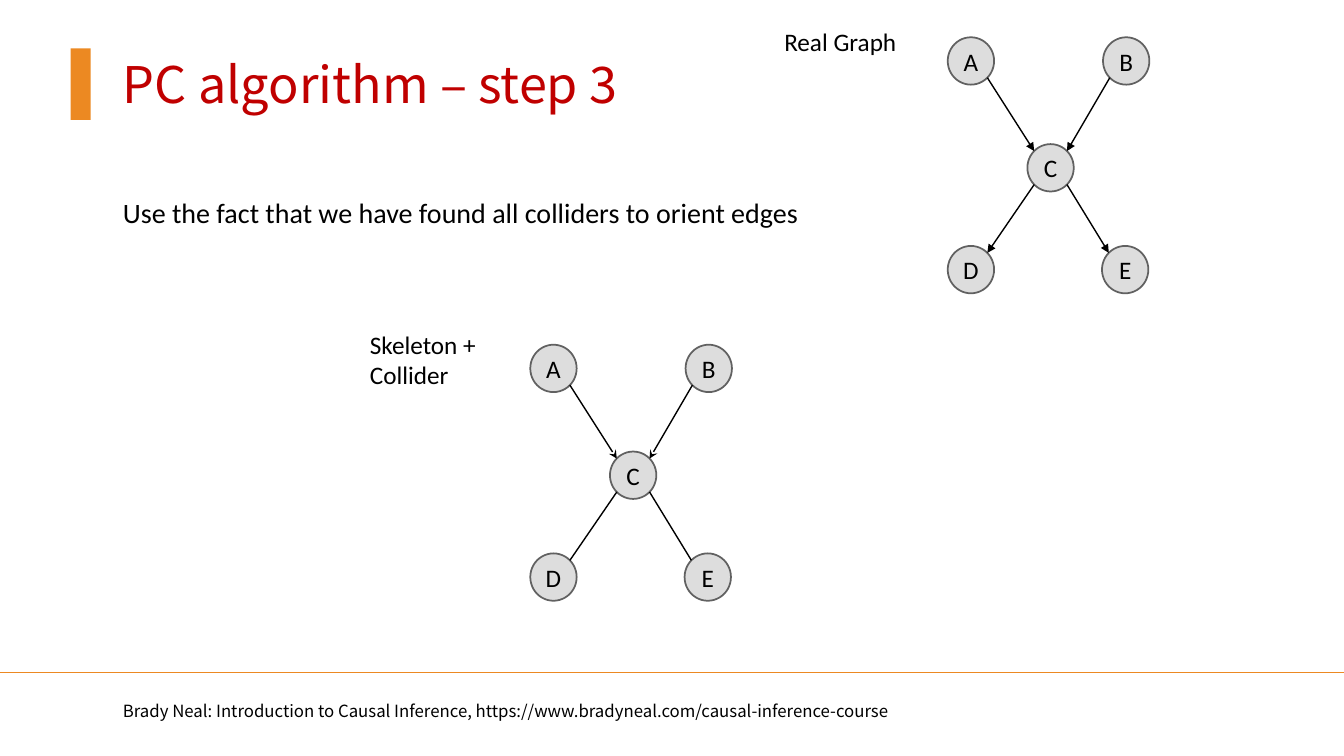
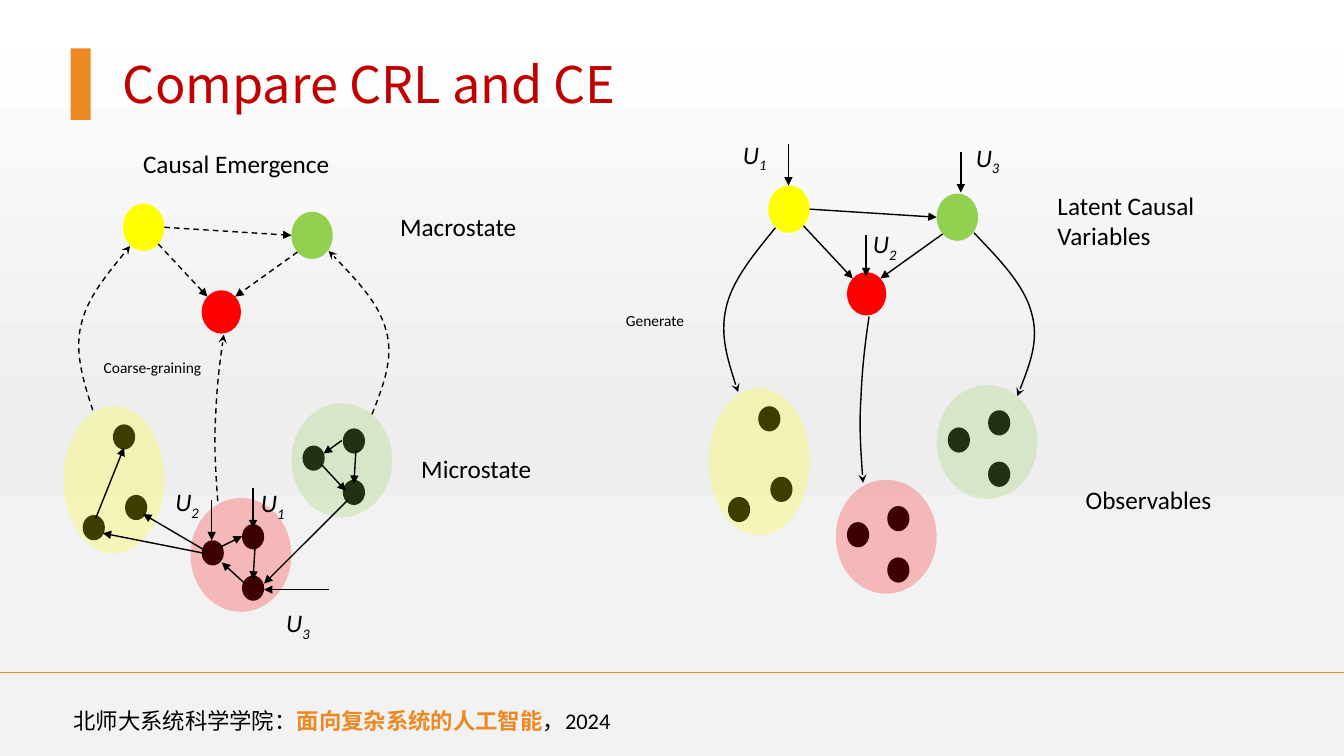
"""Build two slides on causal discovery and causal emergence."""
from dataclasses import dataclass
from math import sqrt
from typing import NamedTuple

from lxml import etree
from pptx import Presentation
from pptx.dml.color import RGBColor
from pptx.enum.dml import MSO_LINE
from pptx.enum.shapes import MSO_CONNECTOR, MSO_SHAPE
from pptx.enum.text import MSO_ANCHOR, PP_ALIGN
from pptx.oxml.ns import qn
from pptx.util import Inches, Pt

ELLIPSE = MSO_SHAPE.OVAL
RECTANGLE = MSO_SHAPE.RECTANGLE
STRAIGHT = MSO_CONNECTOR.STRAIGHT
DASH = MSO_LINE.DASH
CENTER = PP_ALIGN.CENTER
MIDDLE = MSO_ANCHOR.MIDDLE


@dataclass(frozen=True)
class Theme:
    ink: RGBColor = RGBColor(0x00, 0x00, 0x00)
    title: RGBColor = RGBColor(0xC0, 0x00, 0x00)
    accent: RGBColor = RGBColor(0xEC, 0x89, 0x22)
    node: RGBColor = RGBColor(0xDD, 0xDD, 0xDD)
    node_edge: RGBColor = RGBColor(0x61, 0x61, 0x61)
    yellow: RGBColor = RGBColor(0xFF, 0xFF, 0x00)
    red: RGBColor = RGBColor(0xFF, 0x00, 0x00)
    green: RGBColor = RGBColor(0x92, 0xD0, 0x50)
    backdrop: tuple = ((0, "FFFFFF"), (57, "EEEEEE"), (74, "F2F2F2"), (100, "F2F2F2"))
    cluster_opacity: int = 24
    body_font: str = "Calibri"
    title_font: str = "Noto Sans CJK SC"
    title_size: int = 36
    lead_size: int = 20
    label_size: int = 18
    footer_size: int = 16
    source_size: int = 12
    note_size: int = 11


THEME = Theme()


class Box(NamedTuple):
    left: float
    top: float
    width: float
    height: float

    def shifted(self, dx: float, dy: float) -> "Box":
        return Box(self.left + dx, self.top + dy, self.width, self.height)

    def rim(self, across: int, down: int) -> tuple:
        """Return the point on the inscribed ellipse in the given direction."""
        reach = 0.5 / sqrt(across ** 2 + down ** 2)
        return (self.left + self.width * (0.5 + across * reach),
                self.top + self.height * (0.5 + down * reach))


class Run(NamedTuple):
    text: str
    color: RGBColor = THEME.ink
    bold: bool = False
    subscript: bool = False


class Cluster(NamedTuple):
    color: RGBColor
    macro: Box
    micro: Box
    dots: tuple
    curve: tuple


class Arrow(NamedTuple):
    start: tuple
    end: tuple


DOT_SIZE = (0.22, 0.25)
YELLOW = Cluster(
    THEME.yellow, Box(1.22, 2.02, 0.41, 0.47), Box(0.63, 4.03, 1, 1.46),
    ((1.12, 4.21), (0.82, 5.11), (1.24, 4.91)),
    ((0.92, 4.07), (0.83, 3.79), (0.74, 3.51), (0.8, 3.24),
     (0.86, 2.96), (1.08, 2.7), (1.29, 2.44)))
RED = Cluster(
    THEME.red, Box(2, 2.88, 0.39, 0.43), Box(1.89, 4.94, 1, 1.13),
    ((2.4, 5.2), (2.4, 5.71), (2, 5.36)),
    ((2.16, 4.97), (2.14, 4.68), (2.12, 4.4), (2.14, 4.12),
     (2.15, 3.85), (2.18, 3.58), (2.22, 3.32)))
GREEN = Cluster(
    THEME.green, Box(2.89, 2.1, 0.41, 0.47), Box(2.89, 4, 1, 1.13),
    ((3.4, 4.25), (3.4, 4.76), (3, 4.42)),
    ((3.69, 4.11), (3.8, 3.83), (3.91, 3.55), (3.83, 3.28),
     (3.76, 3.01), (3.51, 2.75), (3.26, 2.49)))
MACRO_ARROWS = (
    Arrow(YELLOW.macro.rim(1, 0), GREEN.macro.rim(-1, 0)),
    Arrow(GREEN.macro.rim(-1, 1), RED.macro.rim(1, -1)),
    Arrow(YELLOW.macro.rim(1, 1), RED.macro.rim(-1, -1)))
MICRO_ARROWS = (
    Arrow((2.53, 5.42), (2.51, 5.75)), Arrow((2.18, 5.43), (2.4, 5.32)),
    Arrow((2.43, 5.79), (2.2, 5.58)), Arrow((2.03, 5.49), (1.02, 5.29)),
    Arrow((0.95, 5.14), (1.23, 4.44)), Arrow((2.05, 5.47), (1.42, 5.1)),
    Arrow((3.53, 4.47), (3.51, 4.8)), Arrow((3.19, 4.61), (3.43, 4.87)),
    Arrow((3.39, 4.37), (3.21, 4.5)), Arrow((3.45, 4.96), (2.62, 5.79)))
NOISE_ARROWS = (
    Arrow((7.82, 1.43), (7.82, 1.84)), Arrow((8.59, 2.33), (8.59, 2.74)),
    Arrow((9.53, 1.51), (9.53, 1.91)), Arrow((2.51, 4.84), (2.51, 5.24)),
    Arrow((2.1, 4.96), (2.1, 5.36)), Arrow((3.26, 5.85), (2.62, 5.85)))
NOISE_LABELS = (("1", 7.27, 1.33), ("2", 8.56, 2.22), ("3", 9.58, 1.36),
                ("1", 2.49, 4.79), ("2", 1.64, 4.78), ("3", 2.74, 5.98))
GRAPH_NODES = {"A": (0, 0), "B": (1.54, 0), "C": (0.79, 1.06),
               "D": (0, 2.07), "E": (1.53, 2.07)}
GRAPH_EDGES = (("A", "C", 1, 1), ("B", "C", -1, 1), ("C", "D", -1, 1), ("C", "E", 1, 1))


def inches(values: tuple) -> list:
    return [Inches(value) for value in values]


def write(frame, *runs, size=THEME.label_size, font=THEME.body_font,
          align=None, italic=False) -> None:
    """Write runs of text into the first paragraph of a frame."""
    frame.word_wrap = True
    line = frame.paragraphs[0]
    line.alignment = align
    for part in runs:
        piece = line.add_run()
        piece.text = part.text
        piece.font.size = Pt(size)
        piece.font.name = font
        piece.font.bold = part.bold
        piece.font.italic = italic
        piece.font.color.rgb = part.color
        properties = piece.font.color and piece.text and line.runs[-1].font
        properties = line.runs[-1]._r.get_or_add_rPr()
        etree.SubElement(properties, qn("a:ea")).set("typeface", THEME.title_font)
        if part.subscript:
            properties.set("baseline", "-25000")


def add_text(slide, box: Box, *runs, **style) -> None:
    write(slide.shapes.add_textbox(*inches(box)).text_frame, *runs, **style)


def add_block(slide, kind, box: Box, color: RGBColor, opacity: int = 100):
    block = slide.shapes.add_shape(kind, *inches(box))
    block.shadow.inherit = False
    block.fill.solid()
    block.fill.fore_color.rgb = color
    block.line.fill.background()
    if opacity < 100:
        tint = block.element.find(f".//{qn('a:solidFill')}/{qn('a:srgbClr')}")
        etree.SubElement(tint, qn("a:alpha")).set("val", str(opacity * 1000))
    return block


def style_stroke(stroke, color: RGBColor = THEME.ink, dashed: bool = False,
                 head: str = "", tail: str = "") -> None:
    stroke.line.color.rgb = color
    stroke.line.width = Pt(1)
    if dashed:
        stroke.line.dash_style = DASH
    outline = stroke.element.find(f".//{qn('a:ln')}")
    for end, tip in (("a:headEnd", head), ("a:tailEnd", tail)):
        if tip:
            etree.SubElement(outline, qn(end)).set("type", tip)


def add_line(slide, start: tuple, end: tuple, **style) -> None:
    link = slide.shapes.add_connector(STRAIGHT, *inches((*start, *end)))
    style_stroke(link, **style)
    etree.SubElement(link.element.spPr, qn("a:effectLst"))


def add_curve(slide, points: list, **style) -> None:
    """Draw a chain of cubic curves through start, control and end points."""
    start, *rest = [tuple(inches(point)) for point in points]
    builder = slide.shapes.build_freeform(*start)
    builder.add_line_segments(rest, close=False)
    curve = builder.convert_to_shape()
    curve.shadow.inherit = False
    curve.fill.background()
    steps = list(curve.element.iter(qn("a:lnTo")))
    for first in range(0, len(steps), 3):
        bend = etree.Element(qn("a:cubicBezTo"))
        steps[first].addprevious(bend)
        for step in steps[first:first + 3]:
            bend.append(step[0])
            step.getparent().remove(step)
    style_stroke(curve, **style)


def add_base(deck, title: str):
    slide = deck.slides.add_slide(deck.slide_layouts[6])
    add_text(slide, Box(1.12, 0.48, 9.09, 0.71), Run(title, THEME.title),
             size=THEME.title_size, font=THEME.title_font)
    add_block(slide, RECTANGLE, Box(0.7, 0.48, 0.2, 0.71), THEME.accent)
    add_line(slide, (0, 6.67), (13.33, 6.67), color=THEME.accent)
    return slide


def add_graph(slide, left: float, top: float, tips: tuple) -> None:
    nodes = {name: Box(left + x, top + y, 0.46, 0.47)
             for name, (x, y) in GRAPH_NODES.items()}
    for name, box in nodes.items():
        node = add_block(slide, ELLIPSE, box, THEME.node)
        node.line.color.rgb = THEME.node_edge
        node.line.width = Pt(1.25)
        frame = node.text_frame
        frame.margin_left = frame.margin_right = frame.margin_top = frame.margin_bottom = 0
        frame.vertical_anchor = MIDDLE
        write(frame, Run(name), align=CENTER)
    for (source, target, across, down), tip in zip(GRAPH_EDGES, tips):
        add_line(slide, nodes[source].rim(across, down),
                 nodes[target].rim(-across, -down), tail=tip)


def add_hierarchy(slide, dx: float, dy: float, dashed: bool, head: str, tail: str) -> None:
    for cluster in (YELLOW, RED, GREEN):
        for dot in cluster.dots:
            add_block(slide, ELLIPSE, Box(*dot, *DOT_SIZE).shifted(dx, dy), THEME.ink)
        add_block(slide, ELLIPSE, cluster.micro.shifted(dx, dy), cluster.color,
                  THEME.cluster_opacity)
        add_block(slide, ELLIPSE, cluster.macro.shifted(dx, dy), cluster.color)
        add_curve(slide, [(x + dx, y + dy) for x, y in cluster.curve],
                  dashed=dashed, head=head, tail=tail)
    for (x1, y1), (x2, y2) in MACRO_ARROWS:
        add_line(slide, (x1 + dx, y1 + dy), (x2 + dx, y2 + dy),
                 dashed=dashed, tail="triangle")


def add_backdrop(slide) -> None:
    fill = slide.background.fill
    fill.gradient()
    fill.gradient_angle = 270
    stops = slide.element.find(f".//{qn('a:gsLst')}")
    for stop in list(stops):
        stops.remove(stop)
    for position, color in THEME.backdrop:
        stop = etree.SubElement(stops, qn("a:gs"), pos=str(position * 1000))
        etree.SubElement(stop, qn("a:srgbClr"), val=color)


def build_algorithm(deck) -> None:
    slide = add_base(deck, "PC algorithm – step 3")
    add_graph(slide, 9.4, 0.37, ("triangle",) * 4)
    add_graph(slide, 5.26, 3.42, ("stealth", "stealth", "", ""))
    add_text(slide, Box(7.68, 0.21, 1.42, 0.4), Run("Real Graph"))
    add_text(slide, Box(3.57, 3.22, 1.42, 0.71), Run("Skeleton + Collider"))
    add_text(slide, Box(1.12, 1.89, 7.05, 0.44),
             Run("Use the fact that we have found all colliders to orient edges"),
             size=THEME.lead_size)
    add_text(slide, Box(1.12, 6.9, 7.95, 0.3),
             Run("Brady Neal: Introduction to Causal Inference, "
                 "https://www.bradyneal.com/causal-inference-course"),
             size=THEME.source_size, font=THEME.title_font)


def build_comparison(deck) -> None:
    slide = add_base(deck, "Compare CRL and CE")
    add_backdrop(slide)
    add_hierarchy(slide, 0, 0, dashed=True, head="", tail="stealth")
    add_hierarchy(slide, 6.4, -0.18, dashed=False, head="stealth", tail="")
    for start, end in MICRO_ARROWS + NOISE_ARROWS:
        add_line(slide, start, end, tail="triangle")
    for index, left, top in NOISE_LABELS:
        add_text(slide, Box(left, top, 0.6, 0.4), Run("U"),
                 Run(index, subscript=True), italic=True)
    for label, box in (("Causal Emergence", Box(1.32, 1.42, 2.42, 0.4)),
                       ("Macrostate", Box(3.87, 2.05, 2.04, 0.5)),
                       ("Microstate", Box(4.08, 4.45, 2.04, 0.5)),
                       ("Latent Causal Variables", Box(10.39, 1.84, 1.63, 1.21)),
                       ("Observables", Box(10.67, 4.76, 2.04, 0.5))):
        add_text(slide, box, Run(label))
    for note, box in (("Coarse-graining", Box(0.93, 3.5, 2.1, 0.29)),
                      ("Generate", Box(6.11, 3.04, 1.16, 0.29))):
        add_text(slide, box, Run(note), size=THEME.note_size)
    add_text(slide, Box(0.63, 6.97, 5.71, 0.37), Run("北师大系统科学学院："),
             Run("面向复杂系统的人工智能", THEME.accent, bold=True), Run("，2024"),
             size=THEME.footer_size)


def main() -> None:
    deck = Presentation()
    deck.slide_width, deck.slide_height = Inches(13.33), Inches(7.5)
    build_algorithm(deck)
    build_comparison(deck)
    deck.save("out.pptx")


if __name__ == "__main__":
    main()
